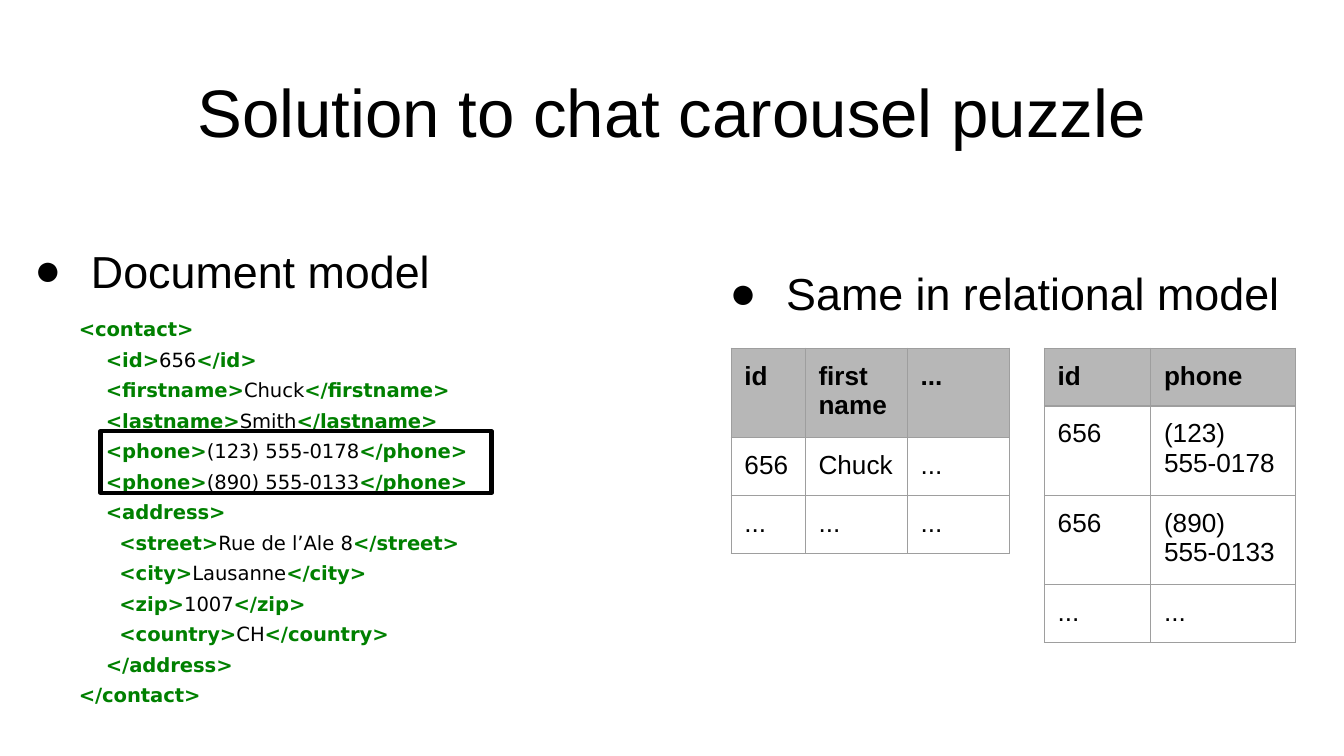
from lxml.etree import SubElement
from pptx import Presentation
from pptx.dml.color import RGBColor
from pptx.enum.shapes import MSO_SHAPE
from pptx.enum.text import MSO_ANCHOR, PP_ALIGN
from pptx.oxml.ns import qn
from pptx.util import Cm, Pt

COLORS = {"text": "000000", "tag": "008000", "header": "B7B7B7", "border": "9E9E9E"}
BODY_FONT = "Arial"
CODE_FONT = "DejaVu Sans"
INSET = Cm(0.25)


def color(name):
    return RGBColor.from_string(COLORS[name])


def add_span(para, text, size=14, font=BODY_FONT, tint="text", bold=False):
    span = para.add_run()
    span.text = text
    span.font.size = Pt(size)
    span.font.name = font
    span.font.bold = bold
    span.font.color.rgb = color(tint)


def add_frame(page, box, vertical_inset=Cm(0.13), anchor=MSO_ANCHOR.TOP):
    frame = page.shapes.add_textbox(*map(Cm, box)).text_frame
    frame.word_wrap = True
    frame.vertical_anchor = anchor
    frame.margin_left = frame.margin_right = INSET
    frame.margin_top = frame.margin_bottom = vertical_inset
    return frame


def add_title(page, box, text):
    para = add_frame(page, box, anchor=MSO_ANCHOR.MIDDLE).paragraphs[0]
    para.alignment = PP_ALIGN.CENTER
    add_span(para, text, size=36)


def add_bullet_heading(page, box, text):
    para = add_frame(page, box).paragraphs[0]
    properties = para._p.get_or_add_pPr()
    properties.set("marL", str(Cm(1.27)))
    properties.set("indent", str(Cm(-1.07)))
    bullet_color = SubElement(properties, qn("a:buClr"))
    SubElement(bullet_color, qn("a:srgbClr"), val=COLORS["text"])
    SubElement(properties, qn("a:buFont"), typeface=BODY_FONT)
    SubElement(properties, qn("a:buChar"), char="●")
    add_span(para, text, size=24)


def add_code(page, box, lines):
    frame = add_frame(page, box, vertical_inset=INSET)
    for index, (depth, opening, value, closing) in enumerate(lines):
        para = frame.add_paragraph() if index else frame.paragraphs[0]
        para._p.get_or_add_pPr().set("marL", str(Cm(0.38)))
        para.line_spacing = 1.3
        add_span(para, " " * depth + opening, size=10.5, font=CODE_FONT, tint="tag", bold=True)
        if value:
            add_span(para, value, size=10.5, font=CODE_FONT)
            add_span(para, closing, size=10.5, font=CODE_FONT, tint="tag", bold=True)


def field(depth, tag, value):
    return depth, f"<{tag}>", value, f"</{tag}>"


def markup(depth, tag):
    return depth, f"<{tag}>", "", ""


def add_cell_borders(cell):
    properties = cell._tc.get_or_add_tcPr()
    for index, side in enumerate(("a:lnL", "a:lnR", "a:lnT", "a:lnB")):
        line = properties.makeelement(qn(side), {"w": str(Pt(0.75))})
        fill = SubElement(line, qn("a:solidFill"))
        SubElement(fill, qn("a:srgbClr"), val=COLORS["border"])
        properties.insert(index, line)


def fill_cell(cell, text, header):
    cell.margin_left = cell.margin_right = INSET
    cell.margin_top = cell.margin_bottom = INSET
    if header:
        cell.fill.solid()
        cell.fill.fore_color.rgb = color("header")
    else:
        cell.fill.background()
    add_cell_borders(cell)
    add_span(cell.text_frame.paragraphs[0], text, bold=header)


def add_relation(page, left, top, widths, heights, rows):
    box = (left, top, sum(widths), sum(heights))
    table = page.shapes.add_table(len(rows), len(widths), *map(Cm, box)).table
    table.horz_banding = False
    for column, width in zip(table.columns, widths):
        column.width = Cm(width)
    for row_index, (row, height) in enumerate(zip(rows, heights)):
        table.rows[row_index].height = Cm(height)
        for column_index, text in enumerate(row):
            fill_cell(table.cell(row_index, column_index), text, row_index == 0)


def add_highlight(page, box):
    frame = page.shapes.add_shape(MSO_SHAPE.RECTANGLE, *map(Cm, box))
    frame.shadow.inherit = False
    frame.fill.background()
    frame.line.color.rgb = color("text")
    frame.line.width = Pt(2.25)


def main():
    deck = Presentation()
    deck.slide_width, deck.slide_height = Cm(25.4), Cm(14.29)
    page = deck.slides.add_slide(deck.slide_layouts[6])

    add_title(page, (1.27, 1.27, 22.86, 1.65), "Solution to chat carousel puzzle")
    add_relation(page, 13.82, 6.58, [1.4, 1.93, 1.93], [1.04] * 3, [
        ("id", "first name", "..."),
        ("656", "Chuck", "..."),
        ("...", "...", "..."),
    ])
    add_relation(page, 19.74, 6.58, [2.01, 2.74], [1.04, 1.04, 1.09, 1.04], [
        ("id", "phone"),
        ("656", "(123) 555-0178"),
        ("656", "(890) 555-0133"),
        ("...", "..."),
    ])
    add_bullet_heading(page, (13.34, 4.9, 11.48, 2.74), "Same in relational model")
    add_bullet_heading(page, (0.2, 4.47, 8.46, 2.74), "Document model")
    add_code(page, (0.86, 5.61, 9.22, 8.41), [
        markup(0, "contact"),
        field(4, "id", "656"),
        field(4, "firstname", "Chuck"),
        field(4, "lastname", "Smith"),
        field(4, "phone", "(123) 555-0178"),
        field(4, "phone", "(890) 555-0133"),
        markup(4, "address"),
        field(6, "street", "Rue de l’Ale 8"),
        field(6, "city", "Lausanne"),
        field(6, "zip", "1007"),
        field(6, "country", "CH"),
        markup(4, "/address"),
        markup(0, "/contact"),
    ])
    add_highlight(page, (1.9, 8.15, 7.39, 1.17))
    deck.save("out.pptx")


if __name__ == "__main__":
    main()
